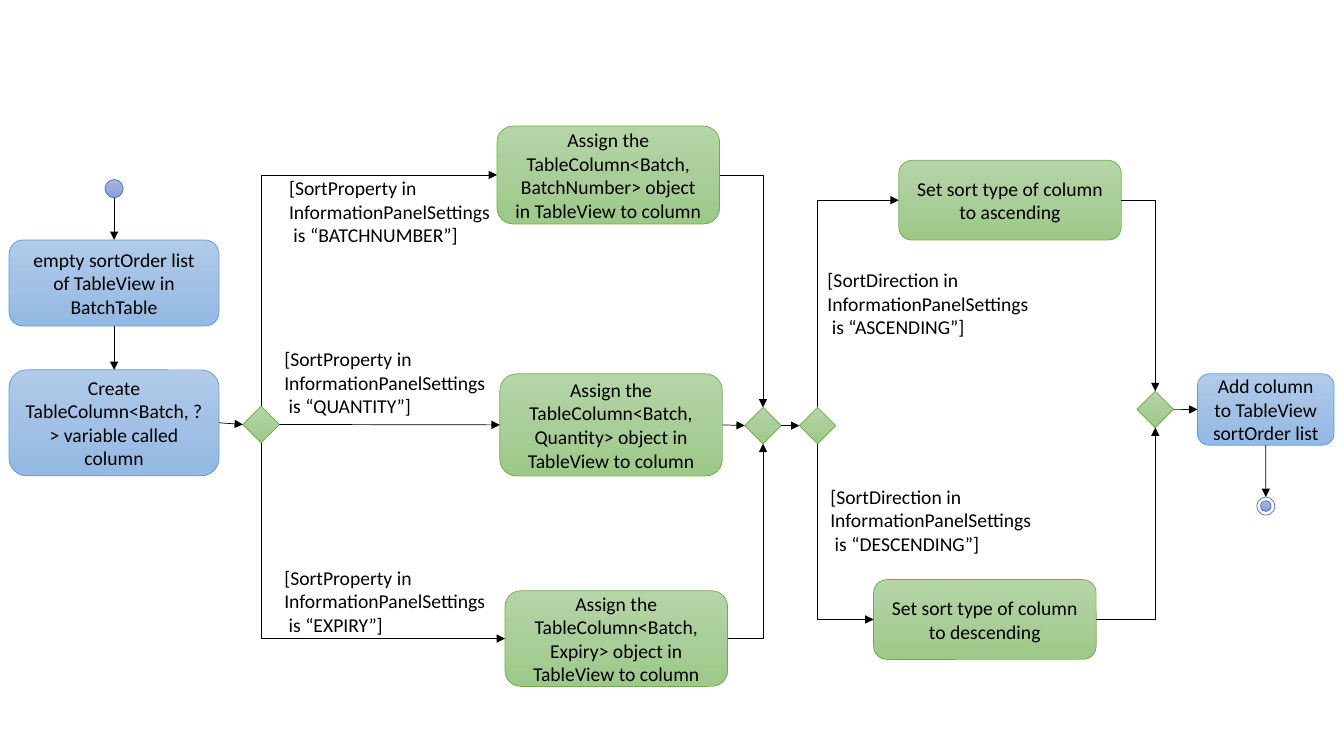
from copy import deepcopy
from dataclasses import dataclass

from lxml import etree
from pptx import Presentation
from pptx.dml.color import RGBColor as RGB
from pptx.enum.shapes import MSO_CONNECTOR as CONN, MSO_SHAPE as SHAPE
from pptx.enum.text import MSO_ANCHOR as ANCHOR, PP_ALIGN as ALIGN
from pptx.oxml.ns import qn
from pptx.util import Pt


@dataclass(frozen=True)
class Theme:
    # Each palette: three gradient stops from top to bottom, then the outline
    green: tuple = ("B5D5A7", "AACE9A", "9CC987", "70AD47")
    blue: tuple = ("B1CBE9", "A3C1E5", "93B9E4", "5B9BD5")
    indigo: tuple = ("A8B7DF", "9AABD9", "889ED7", "4472C4")
    white: tuple = ("FFFFFF", "FFFFFF", "FFFFFF", "4472C4")
    ink: RGB = RGB(0, 0, 0)
    font: str = "Calibri"
    size: int = 14
    line: float = 0.5


theme = Theme()
prs = Presentation()
prs.slide_width, prs.slide_height = Pt(960), Pt(540)
s = prs.slides.add_slide(prs.slide_layouts[6])


def add_node(kind, x, y, w, h, palette):
    sp = s.shapes.add_shape(kind, Pt(x), Pt(y), Pt(w), Pt(h))
    sp.shadow.inherit = False
    sp.line.color.rgb = RGB.from_string(palette[3])
    sp.line.width = Pt(theme.line)
    sp.fill.gradient()
    sp.fill.gradient_angle = 270
    stops = sp._element.spPr.find(qn("a:gradFill")).find(qn("a:gsLst"))
    stops.insert(1, deepcopy(stops[0]))
    for stop, pos, color in zip(sp.fill.gradient_stops, (0, 0.5, 1), palette):
        stop.position = pos
        stop.color.rgb = RGB.from_string(color)
    return sp


def write(sp, text, align):
    tf = sp.text_frame
    tf.word_wrap = True
    tf.text = text
    for p in tf.paragraphs:
        p.alignment = align
        for r in p.runs:
            r.font.name, r.font.size = theme.font, Pt(theme.size)
            r.font.color.rgb = theme.ink


# Action boxes
actions = {
    "empty": (6.5, 171.4, 150, 61.5, theme.blue,
              "empty sortOrder list of TableView in BatchTable"),
    "create": (6.5, 264.2, 150, 75.6, theme.blue,
               "Create TableColumn<Batch, ?> variable called column"),
    "number": (355, 90, 159, 70, theme.green,
               "Assign the TableColumn<Batch, BatchNumber> object in TableView to column"),
    "quantity": (357, 267, 159, 73, theme.green,
                 "Assign the TableColumn<Batch, Quantity> object in TableView to column"),
    "expiry": (360.7, 421.9, 159, 68.4, theme.green,
               "Assign the TableColumn<Batch, Expiry> object in TableView to column"),
    "ascending": (642, 114.5, 159, 57, theme.green,
                  "Set sort type of column to ascending"),
    "descending": (624, 414, 159, 57, theme.green,
                   "Set sort type of column to descending"),
    "add": (855.4, 267, 97.5, 51, theme.blue,
            "Add column to TableView sortOrder list"),
}
nodes = {}
for name, (x, y, w, h, palette, text) in actions.items():
    sp = nodes[name] = add_node(SHAPE.ROUNDED_RECTANGLE, x, y, w, h, palette)
    write(sp, text, ALIGN.CENTER)
    sp.text_frame.vertical_anchor = ANCHOR.MIDDLE

# Decision and merge diamonds
for name, x, y in [("property?", 173.5, 290.2), ("property merge", 532, 291),
                   ("direction?", 571, 291), ("direction merge", 812.2, 279.4)]:
    nodes[name] = add_node(SHAPE.DIAMOND, x, y, 26, 26, theme.green)

# Start and end markers
nodes["start"] = add_node(SHAPE.OVAL, 75, 128.2, 13, 13, theme.indigo)
nodes["end"] = add_node(SHAPE.OVAL, 897.7, 355, 13, 13, theme.white)
add_node(SHAPE.OVAL, 900.4, 357.7, 7.6, 7.6, theme.indigo)

# Guard conditions
for x, y, w, prop, value in [(199.4, 122.4, 161, "SortProperty", "BATCHNUMBER"),
                             (196, 244.3, 208, "SortProperty", "QUANTITY"),
                             (196, 400.6, 161, "SortProperty", "EXPIRY"),
                             (584, 188, 161, "SortDirection", "ASCENDING"),
                             (586, 342.7, 161, "SortDirection", "DESCENDING")]:
    guard = s.shapes.add_textbox(Pt(x), Pt(y), Pt(w), Pt(58))
    write(guard, f"[{prop} in\nInformationPanelSettings\n is “{value}”]", ALIGN.LEFT)

# Flow arrows, from one side of a node to a side of the next
TOP, LEFT, BOTTOM, RIGHT = range(4)
flows = [
    ("start", BOTTOM, "empty", TOP), ("empty", BOTTOM, "create", TOP),
    ("create", RIGHT, "property?", LEFT),
    ("property?", TOP, "number", LEFT), ("property?", RIGHT, "quantity", LEFT),
    ("property?", BOTTOM, "expiry", LEFT),
    ("number", RIGHT, "property merge", TOP),
    ("quantity", RIGHT, "property merge", LEFT),
    ("expiry", RIGHT, "property merge", BOTTOM),
    ("property merge", RIGHT, "direction?", LEFT),
    ("direction?", TOP, "ascending", LEFT), ("direction?", BOTTOM, "descending", LEFT),
    ("ascending", RIGHT, "direction merge", TOP),
    ("descending", RIGHT, "direction merge", BOTTOM),
    ("direction merge", RIGHT, "add", LEFT), ("add", BOTTOM, "end", TOP),
]
for source, out_side, target, in_side in flows:
    a, b = nodes[source], nodes[target]
    straight = (out_side - in_side) % 4 == 2
    c = s.shapes.add_connector(CONN.STRAIGHT if straight else CONN.ELBOW,
                               a.left + a.width // 2, a.top + a.height, b.left, b.top)
    if source != "start":  # an oval numbers its sides differently
        c.begin_connect(a, out_side)
    c.end_connect(b, in_side)
    c.line.color.rgb = theme.ink
    c.line.width = Pt(theme.line)
    spPr = c._element.spPr
    if not straight:
        geom = spPr.find(qn("a:prstGeom"))
        if out_side == RIGHT:  # across, then up or down
            geom.set("prst", "bentConnector2")
        else:  # up or down, then across
            guides = geom.find(qn("a:avLst"))
            etree.SubElement(guides, qn("a:gd"), name="adj1", fmla="val 0")
    etree.SubElement(spPr.find(qn("a:ln")), qn("a:tailEnd"), type="triangle")
    etree.SubElement(spPr, qn("a:effectLst"))

prs.save("out.pptx")
